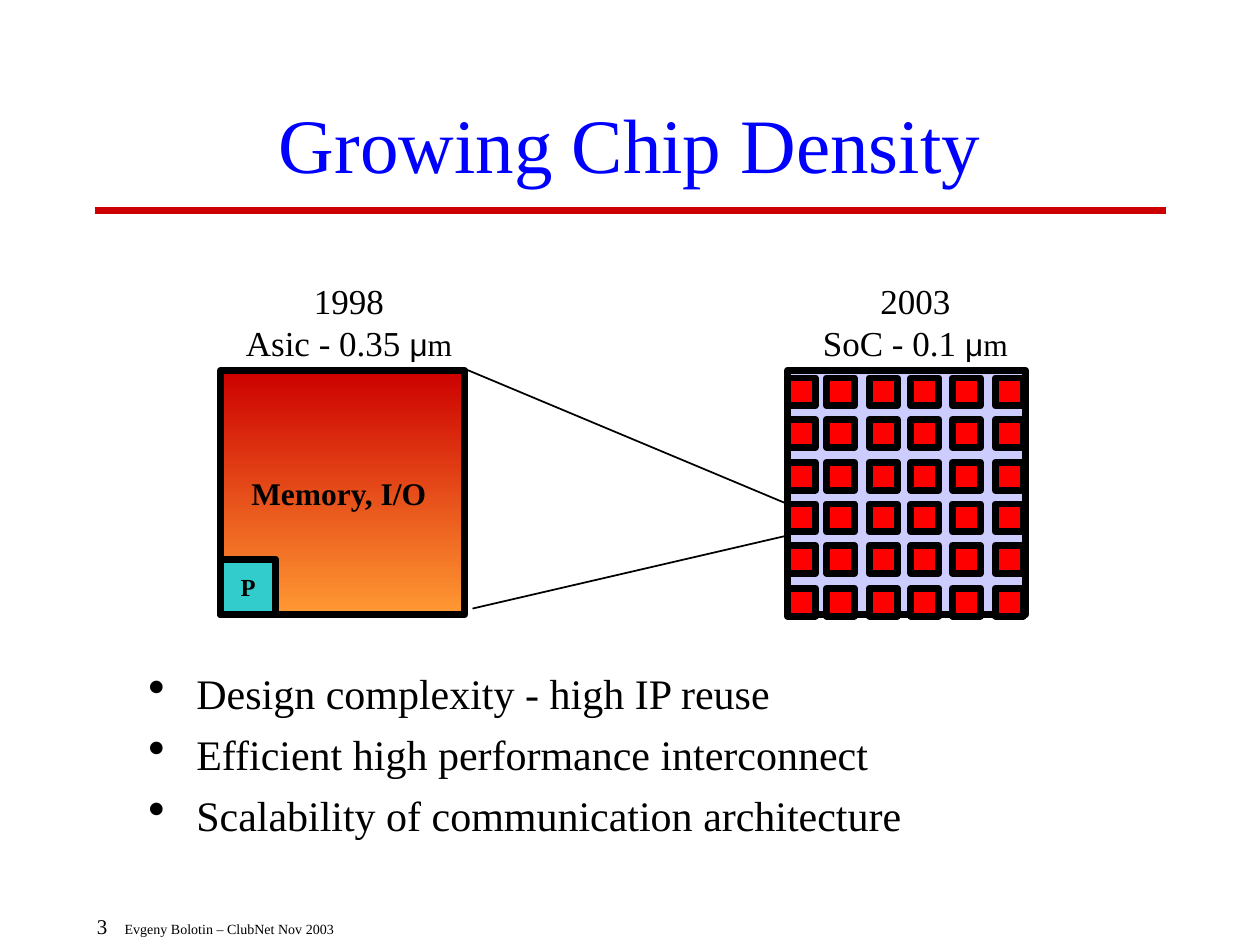
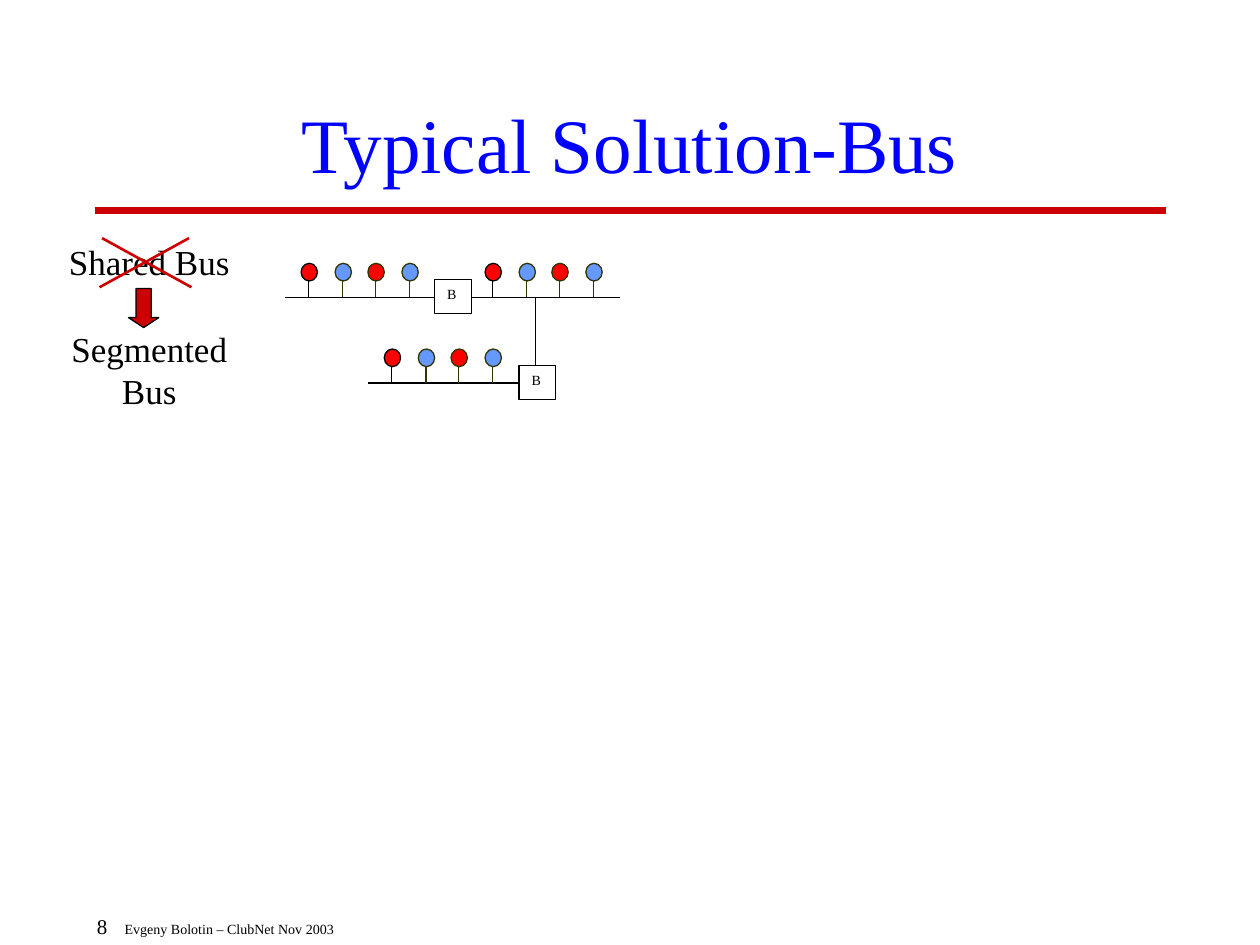
from dataclasses import dataclass
from typing import NamedTuple

from lxml.etree import SubElement
from pptx import Presentation
from pptx.dml.color import RGBColor as Rgb
from pptx.enum.shapes import MSO_CONNECTOR as Link, MSO_SHAPE as Kind
from pptx.enum.text import MSO_ANCHOR as Anchor, MSO_AUTO_SIZE as Fit, PP_ALIGN as Align
from pptx.oxml.ns import qn
from pptx.util import Pt

PX = 9144  # 100 px to the inch


@dataclass(frozen=True)
class Theme:
    font: str = "Times New Roman"
    greek: str = "Arial"
    black: str = "000000"
    white: str = "FFFFFF"
    blue: str = "0000FF"
    brick: str = "CC0000"
    orange: str = "FF9933"
    teal: str = "33CCCC"
    lilac: str = "CCCCFF"
    red: str = "FF0000"
    sky: str = "6699FF"
    olive: str = "333300"
    head: int = 44
    body: int = 24
    label: int = 20
    block: int = 18
    core: int = 14
    page: int = 12
    small: int = 8
    thick: float = 4
    cross: float = 1.5
    thin: float = 1
    hair: float = 0.75


T = Theme()


class Box(NamedTuple):
    left: int
    top: int
    width: int
    height: int

    def emu(self) -> list[int]:
        return [n * PX for n in self]


class Bit(NamedTuple):
    """A run whose size or font differs from the rest of its text."""
    text: str
    size: int
    font: str = T.font


class Chip(NamedTuple):
    year: str
    name: str
    box: Box
    wrap: bool


class Bus(NamedTuple):
    left: int
    right: int
    y: int


CHIPS = [
    Chip("1998", "Asic - 0.35 ", Box(185, 217, 184, 77), False),
    Chip("2003", "SoC - 0.1 ", Box(625, 217, 203, 77), True),
]
POINTS = [
    "Design complexity - high IP reuse",
    "Efficient high performance interconnect",
    "Scalability of communication architecture",
]
BUSES = [Bus(226, 385, 236), Bus(372, 492, 236), Bus(292, 425, 304)]


def write(shape, paras, *, size=T.label, color=T.black, bold=False, align=Align.CENTER,
          anchor=Anchor.TOP, wrap=True, gap=0, bullet=False, tab=0):
    """Fill a shape with paragraphs, each a string or a list of strings and Bits."""
    frame = shape.text_frame
    frame.auto_size, frame.word_wrap = Fit.NONE, wrap
    frame.vertical_anchor = anchor
    for i, bits in enumerate(paras):
        para = frame.add_paragraph() if i else frame.paragraphs[0]
        if bullet:
            mark(para)
        if tab:
            stops = SubElement(para._p.get_or_add_pPr(), qn("a:tabLst"))
            SubElement(stops, qn("a:tab"), pos=str(tab * PX), algn="l")
        para.alignment = align
        para.space_before = Pt(gap if i else 0)
        for bit in [bits] if isinstance(bits, str) else bits:
            if isinstance(bit, str):
                bit = Bit(bit, size)
            run = para.add_run()
            run.text = bit.text
            font = run.font
            font.name, font.size, font.bold = bit.font, Pt(bit.size), bold
            font.color.rgb = Rgb.from_string(color)


def mark(para):
    """Give a paragraph a hanging round bullet."""
    props = para._p.get_or_add_pPr()
    props.set("marL", str(38 * PX))
    props.set("indent", str(-38 * PX))
    tint = SubElement(props, qn("a:buClr"))
    SubElement(tint, qn("a:srgbClr"), val=T.black)
    SubElement(props, qn("a:buSzPct"), val="115000")
    SubElement(props, qn("a:buChar"), char="•")


def label(slide, box: Box, paras, **style):
    write(slide.shapes.add_textbox(*box.emu()), paras, **style)


def draw(slide, box: Box, fill: str, *, kind=Kind.RECTANGLE, edge=T.black, width=T.hair):
    shape = slide.shapes.add_shape(kind, *box.emu())
    shape.shadow.inherit = False
    shape.fill.solid()
    shape.fill.fore_color.rgb = Rgb.from_string(fill)
    shape.line.color.rgb = Rgb.from_string(edge)
    shape.line.width = Pt(width)
    return shape


def line(slide, x1: int, y1: int, x2: int, y2: int, *, color=T.black, width=T.hair):
    wire = slide.shapes.add_connector(Link.STRAIGHT, *(n * PX for n in (x1, y1, x2, y2)))
    wire.line.color.rgb = Rgb.from_string(color)
    wire.line.width = Pt(width)
    SubElement(wire._element.spPr, qn("a:effectLst"))


def start(deck, title: str, page: int):
    """Add a slide with the title, rule and footer that all slides share."""
    slide = deck.slides.add_slide(deck.slide_layouts[5])
    line(slide, 75, 167, 925, 167, color=T.brick, width=T.thick)
    label(slide, Box(67, 700, 325, 50),
          [[Bit(str(page), T.page), "\tEvgeny Bolotin – ClubNet Nov 2003"]],
          size=T.small, align=Align.LEFT, anchor=Anchor.BOTTOM, tab=22)
    head = slide.shapes.title
    head.left, head.top, head.width, head.height = Box(75, 67, 850, 92).emu()
    write(head, [title], size=T.head, color=T.blue, anchor=Anchor.MIDDLE)
    return slide


def grid(slide):
    """Draw the newer chip: a panel of six by six cores."""
    draw(slide, Box(625, 294, 189, 194), T.lilac, width=T.thick)
    for row in range(6):
        for col in range(6):
            left = 623 + round(col * 100 / 3) if col else 625
            top = 300 + round(row * 100 / 3)
            draw(slide, Box(left, top, 22, 22), T.red, width=T.thick)


def density(deck):
    slide = start(deck, "Growing Chip Density", 3)
    line(slide, 367, 292, 625, 400, width=T.thin)
    line(slide, 375, 483, 625, 425, width=T.thin)
    for chip in CHIPS:
        unit = [Bit("μ", T.block, T.greek), Bit("m", T.block)]
        label(slide, chip.box, [chip.year, [chip.name, *unit]], wrap=chip.wrap)
    asic = draw(slide, Box(175, 294, 194, 194), T.brick, width=T.thick)
    asic.fill.gradient()
    asic.fill.gradient_angle = 270
    for stop, color in zip(asic.fill.gradient_stops, (T.brick, T.orange)):
        stop.color.rgb = Rgb.from_string(color)
    core = draw(slide, Box(175, 444, 44, 44), T.teal, width=T.thick)
    for shape, text, size in ((asic, "Memory, I/O ", T.block), (core, "P", T.core)):
        write(shape, [text], size=size, bold=True, anchor=Anchor.MIDDLE, wrap=False)
    grid(slide)
    label(slide, Box(108, 525, 842, 150), POINTS, size=T.body, align=Align.LEFT,
          gap=6, bullet=True)


def wire(slide, bus: Bus):
    """Draw a bus with its four nodes, red and blue in turn."""
    line(slide, bus.left, bus.y, bus.right, bus.y)
    for i in range(4):
        x = bus.left + 19 + round(i * 80 / 3)
        edge = T.olive if i else T.black
        line(slide, x, bus.y - 13, x, bus.y, color=edge)
        draw(slide, Box(x - 6, bus.y - 27, 13, 14), T.sky if i % 2 else T.red,
             kind=Kind.FLOWCHART_CONNECTOR, edge=edge)


def buses(deck):
    slide = start(deck, "Typical Solution-Bus", 8)
    label(slide, Box(35, 186, 167, 44), ["Shared Bus"])
    for bus in BUSES:
        wire(slide, bus)
    line(slide, 425, 236, 425, 304)
    for left, top in ((412, 290), (345, 222)):
        bridge = draw(slide, Box(left, top, 29, 27), T.white)
        write(bridge, ["B"], size=T.small, align=Align.LEFT)
    label(slide, Box(35, 255, 167, 77), ["Segmented Bus"])
    arrow = draw(slide, Box(102, 229, 24, 31), T.brick, kind=Kind.DOWN_ARROW)
    arrow.adjustments[0], arrow.adjustments[1] = 0.5, 0.33
    for x1, x2 in ((81, 152), (150, 79)):
        line(slide, x1, 189, x2, 228, color=T.brick, width=T.cross)


def main():
    deck = Presentation()
    deck.slide_width, deck.slide_height = 1000 * PX, 750 * PX
    density(deck)
    buses(deck)
    deck.save("out.pptx")


if __name__ == "__main__":
    main()
